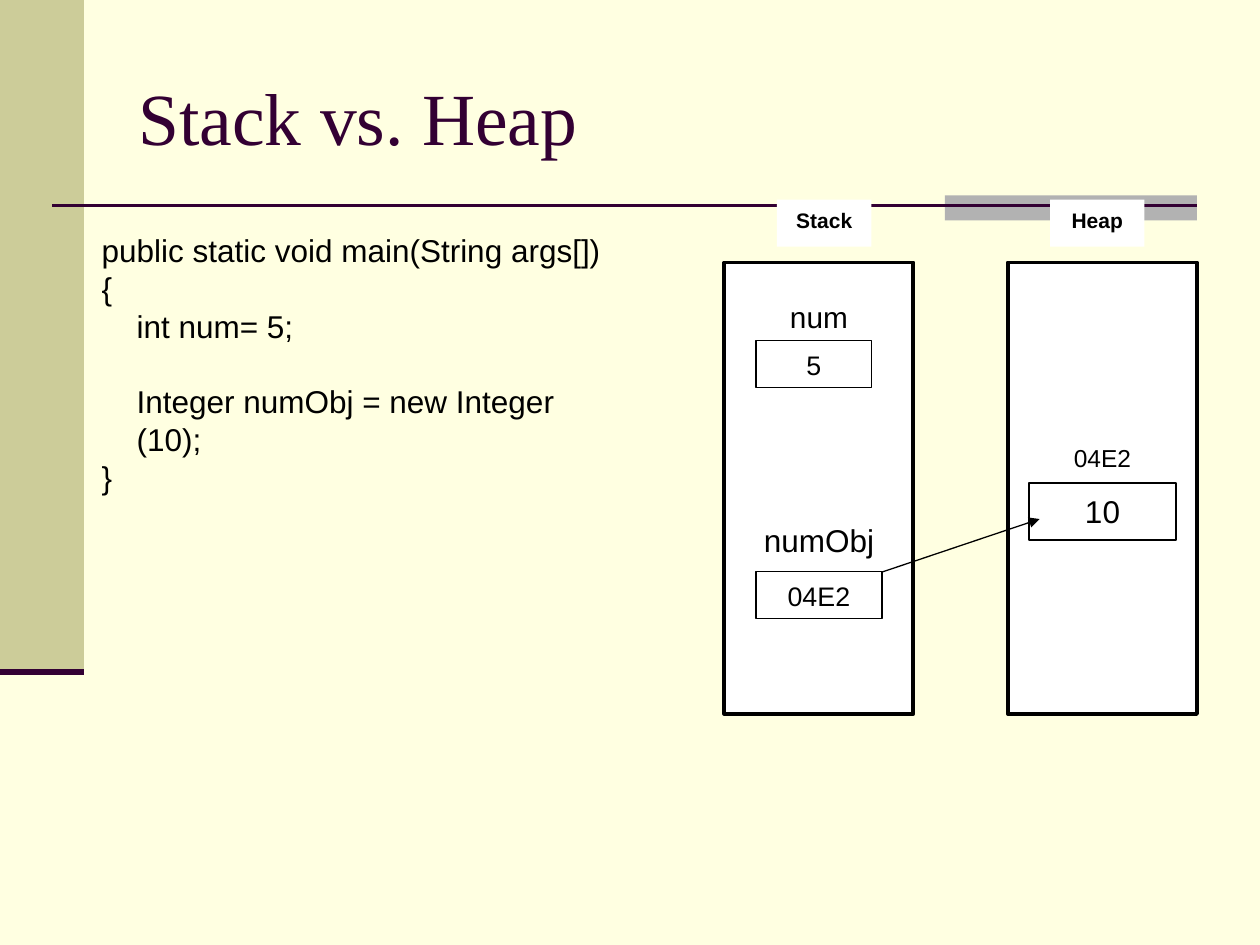
"""Build the Stack vs. Heap slide."""
from lxml import etree
from pptx import Presentation
from pptx.dml.color import RGBColor
from pptx.enum import shapes, text
from pptx.oxml.ns import qn
from pptx.util import Pt

PAPER = RGBColor(0xFF, 0xFF, 0xE1)
OLIVE = RGBColor(0xCC, 0xCC, 0x99)
GREY = RGBColor(0xB2, 0xB2, 0xB2)
PLUM = RGBColor(0x33, 0x00, 0x33)
BLACK = RGBColor(0, 0, 0)
WHITE = RGBColor(0xFF, 0xFF, 0xFF)

TITLE = "Stack vs. Heap"
CODE_SIZE, CODE_PITCH, CODE_INDENT = 18, 21.6, 20
CODE = [
    ("public static void main(String args[])", 0, 0),
    ("{", 0, 0),
    ("int num= 5;", 1, 0),
    ("Integer numObj = new Integer (10);", 1, 1),
    ("}", 0, 0),
]

MEMORY_TOP, MEMORY_WIDTH, MEMORY_HEIGHT = 150, 108, 258
MEMORIES = [
    ("Stack", 414, 444, 15.6, [("num", 17, 0), ("numObj", 18, 106.5)]),
    ("Heap", 576, 600, 98.2, [("04E2", 14, 0)]),
]
CELLS = [
    ("5", 15.3, (432, 194.4, 66, 27)),
    ("04E2", 15.3, (432, 326.4, 72, 27)),
    ("10", 18, (588, 276, 84, 32.6)),
]

deck = Presentation()
deck.slide_width, deck.slide_height = Pt(720), Pt(540)
slide = deck.slides.add_slide(deck.slide_layouts[5])
slide.background.fill.solid()
slide.background.fill.fore_color.rgb = PAPER


def add_run(paragraph, words, size, color=BLACK, face="Arial", bold=False):
    run = paragraph.add_run()
    run.text = words
    run.font.size = Pt(size)
    run.font.name = face
    run.font.bold = bold
    run.font.color.rgb = color


def set_frame(frame, size, drop=0):
    frame.margin_left = frame.margin_right = Pt(7.2)
    frame.margin_top = Pt(3.6 + drop + size / 10)
    frame.margin_bottom = Pt(3.6)
    frame.vertical_anchor = text.MSO_ANCHOR.TOP


def add_box(place, fill, border=0, labels=(), drop=0, bold=False):
    box = slide.shapes.add_shape(shapes.MSO_SHAPE.RECTANGLE, *map(Pt, place))
    box.shadow.inherit = False
    box.fill.solid()
    box.fill.fore_color.rgb = fill
    if border:
        box.line.color.rgb = BLACK
        box.line.width = Pt(border)
    else:
        box.line.fill.background()
    for index, (words, size, gap) in enumerate(labels):
        frame = box.text_frame
        if index == 0:
            set_frame(frame, size, drop)
        paragraph = frame.add_paragraph() if index else frame.paragraphs[0]
        paragraph.alignment = text.PP_ALIGN.CENTER
        paragraph.space_before = Pt(gap)
        add_run(paragraph, words, size, bold=bold)


def add_line(start, end, color, width, arrow=False):
    line = slide.shapes.add_connector(
        shapes.MSO_CONNECTOR.STRAIGHT, *map(Pt, start + end))
    line.line.color.rgb = color
    line.line.width = Pt(width)
    if arrow:
        etree.SubElement(line.line._get_or_add_ln(), qn("a:tailEnd"), type="triangle")
    etree.SubElement(line._element.spPr, qn("a:effectLst"))


add_box((0, 0, 48, 384), OLIVE)
add_box((540, 111.6, 144, 14.4), GREY)
add_line((30, 117.6), (684, 117.6), PLUM, 1.5)
add_line((0, 384), (48, 384), PLUM, 3.5)

title = slide.shapes.title
title.left, title.top, title.width, title.height = map(Pt, (72, 21.6, 612, 90))
title.text_frame.vertical_anchor = text.MSO_ANCHOR.MIDDLE
heading = title.text_frame.paragraphs[0]
heading.alignment = text.PP_ALIGN.LEFT
add_run(heading, TITLE, 42, PLUM, "Times New Roman")

listing = slide.shapes.add_textbox(*map(Pt, (51, 126.7, 314.6, 136.8))).text_frame
listing.word_wrap = False
set_frame(listing, CODE_SIZE)
for index, (words, level, blank) in enumerate(CODE):
    statement = listing.add_paragraph() if index else listing.paragraphs[0]
    statement.line_spacing = Pt(CODE_PITCH)
    statement.space_before = Pt(blank * CODE_PITCH)
    statement._p.get_or_add_pPr().set("marL", str(Pt(level * CODE_INDENT)))
    add_run(statement, words, CODE_SIZE)

for name, left, name_left, drop, variables in MEMORIES:
    add_box((left, MEMORY_TOP, MEMORY_WIDTH, MEMORY_HEIGHT), WHITE, 2.25, variables, drop)
    add_box((name_left, 114, 54, 27), WHITE, labels=[(name, 12, 0)], bold=True)
for value, size, place in CELLS:
    add_box(place, WHITE, 0.75, [(value, size, 0)])
add_line((504, 326.9), (594, 296.6), BLACK, 0.75, arrow=True)

deck.save("out.pptx")
